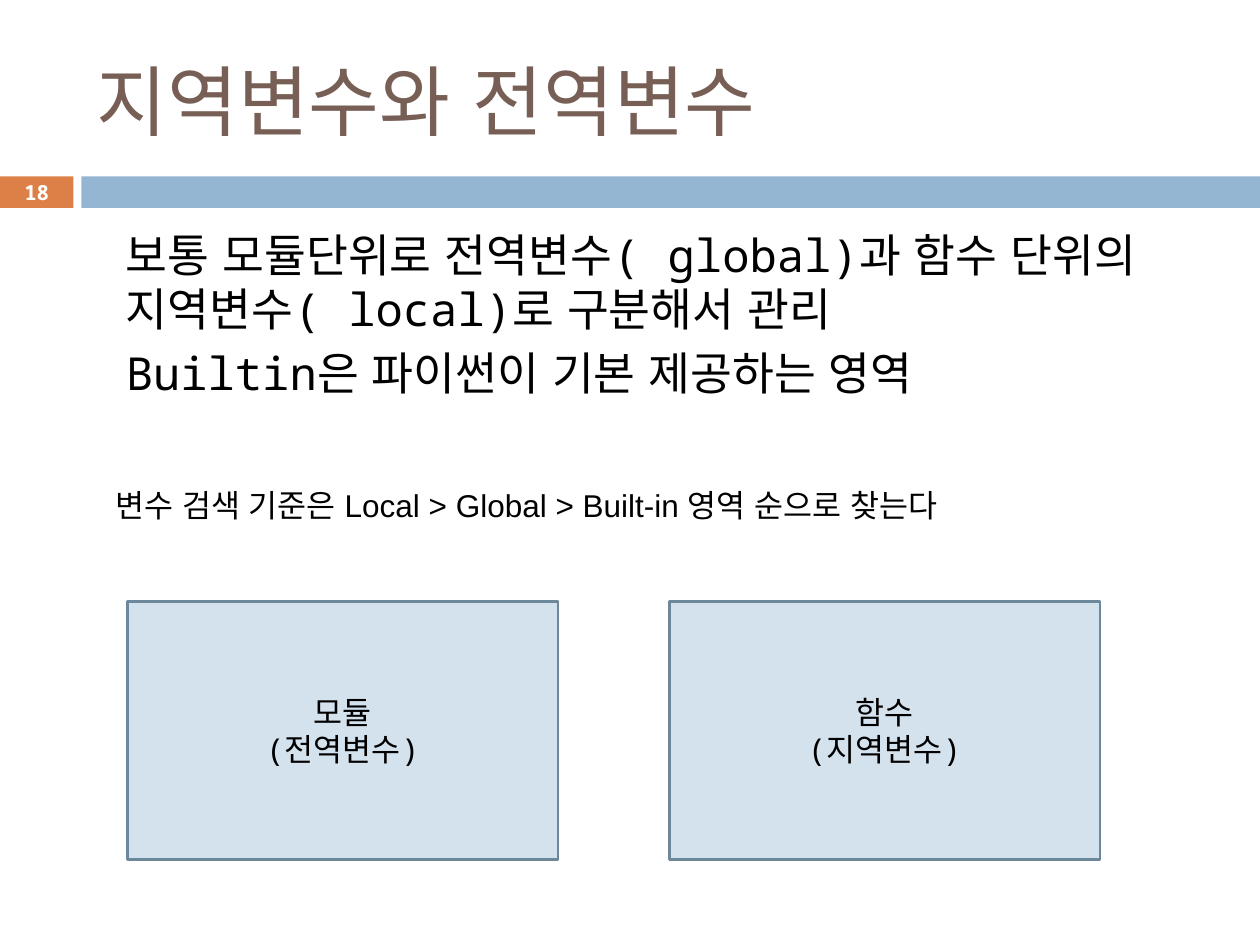
from dataclasses import dataclass

from pptx import Presentation
from pptx.dml.color import RGBColor
from pptx.enum import shapes, text
from pptx.oxml.ns import qn
from pptx.util import Pt


@dataclass(frozen=True)
class Theme:
    mono: str = "Noto Sans Mono"
    sans: str = "Arial"
    title_color: str = "775F55"
    ink: str = "000000"
    white: str = "FFFFFF"
    orange: str = "DD8047"
    blue: str = "94B6D2"
    pale_blue: str = "D4E2ED"
    outline: str = "6D879B"
    title_size: float = 44
    body_size: float = 26
    label_size: float = 18
    number_size: float = 11.9


THEME = Theme()
CENTER = text.PP_ALIGN.CENTER
MIDDLE = text.MSO_ANCHOR.MIDDLE


def write(shape, content, size, color=THEME.ink, font=THEME.mono,
          bold=False, align=None, anchor=text.MSO_ANCHOR.TOP):
    """Fill a shape with text, one paragraph per line."""
    frame = shape.text_frame
    frame.text = content
    frame.word_wrap = True
    frame.vertical_anchor = anchor
    for paragraph in frame.paragraphs:
        paragraph.alignment = align
        for run in paragraph.runs:
            run.font.size = Pt(size)
            run.font.name = font
            run.font.bold = bold
            run.font.color.rgb = RGBColor.from_string(color)
            # Hangul takes the proportional face, which keeps word gaps narrow
            hangul = run.font._element.makeelement(qn("a:ea"), {"typeface": THEME.sans})
            run.font._element.find(qn("a:latin")).addnext(hangul)
    return frame


def add_text(slide, box, content, size, **style):
    textbox = slide.shapes.add_textbox(*map(Pt, box))
    return write(textbox, content, size, **style)


def add_block(slide, box, fill, outline=None):
    block = slide.shapes.add_shape(shapes.MSO_SHAPE.RECTANGLE, *map(Pt, box))
    block.shadow.inherit = False
    block.fill.solid()
    block.fill.fore_color.rgb = RGBColor.from_string(fill)
    if outline:
        block.line.color.rgb = RGBColor.from_string(outline)
        block.line.width = Pt(1.5)
    else:
        block.line.fill.background()
    return block


def add_explanation(slide, box, content):
    """Body text: indented paragraphs with a gap between them."""
    frame = add_text(slide, box, content, THEME.body_size)
    for index, paragraph in enumerate(frame.paragraphs):
        paragraph._p.get_or_add_pPr().set("marL", str(Pt(28.8)))
        if index:
            paragraph.space_before = Pt(5.5)


def main():
    deck = Presentation()
    deck.slide_width, deck.slide_height = Pt(720), Pt(540)
    slide = deck.slides.add_slide(deck.slide_layouts[6])

    # Band under the title, with the page number at its left
    add_block(slide, (0, 100.8, 42, 18), THEME.orange)
    add_block(slide, (46.5, 100.8, 673.5, 18), THEME.blue)
    add_text(slide, (0, 100, 42, 19.5), "18", THEME.number_size,
             color=THEME.white, bold=True, align=CENTER, anchor=MIDDLE)

    # Title and explanation
    add_text(slide, (48, 18, 642, 78), "지역변수와 전역변수", THEME.title_size,
             color=THEME.title_color, anchor=MIDDLE)
    add_explanation(
        slide, (36, 126, 648, 132.5),
        "보통 모듈단위로 전역변수( global)과 함수 단위의 지역변수( local)로 구분해서 관리\n"
        "Builtin은 파이썬이 기본 제공하는 영역")

    # Search order
    add_text(slide, (59, 274, 607, 29),
             "변수 검색 기준은 Local > Global > Built-in 영역 순으로 찾는다",
             THEME.label_size, font=THEME.sans)

    # Scopes side by side
    scopes = ("모듈\n(전역변수)", "함수\n(지역변수)")
    left, width, gap = 72.8, 246.2, 63.4
    for column, scope in enumerate(scopes):
        box = (left + column * (width + gap), 343.6, width, 147.6)
        block = add_block(slide, box, THEME.pale_blue, THEME.outline)
        write(block, scope, THEME.label_size, align=CENTER, anchor=MIDDLE)

    deck.save("out.pptx")


if __name__ == "__main__":
    main()
